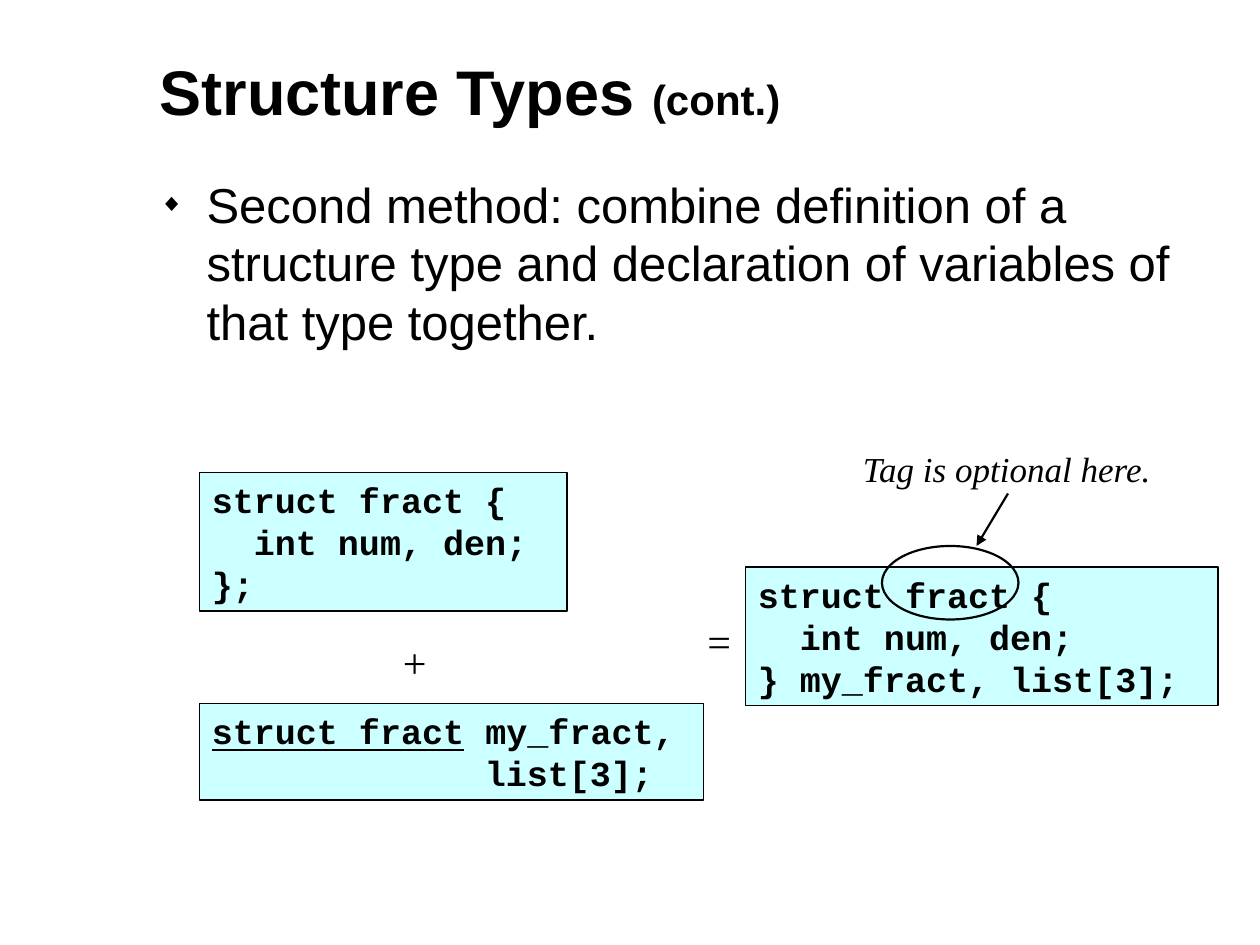
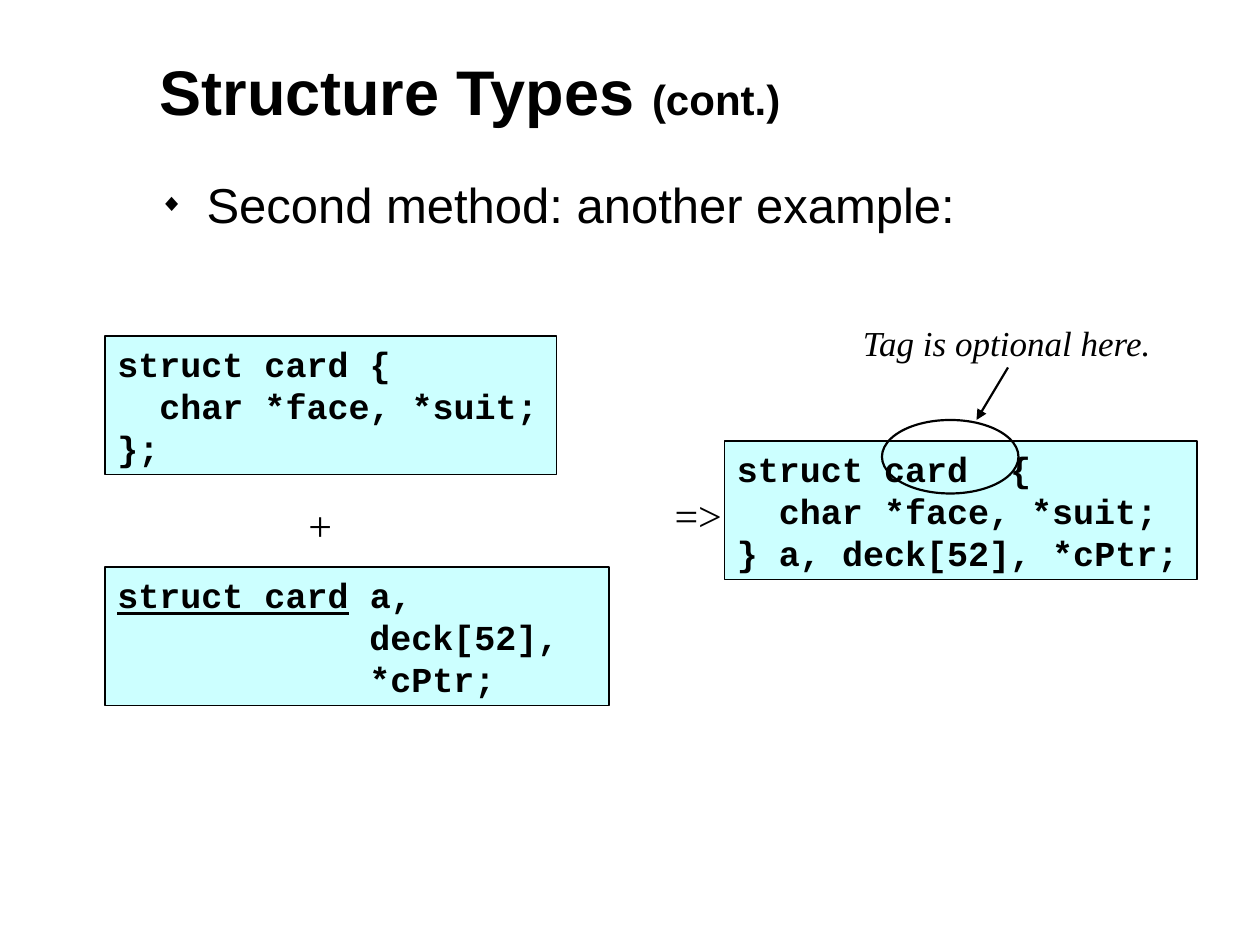
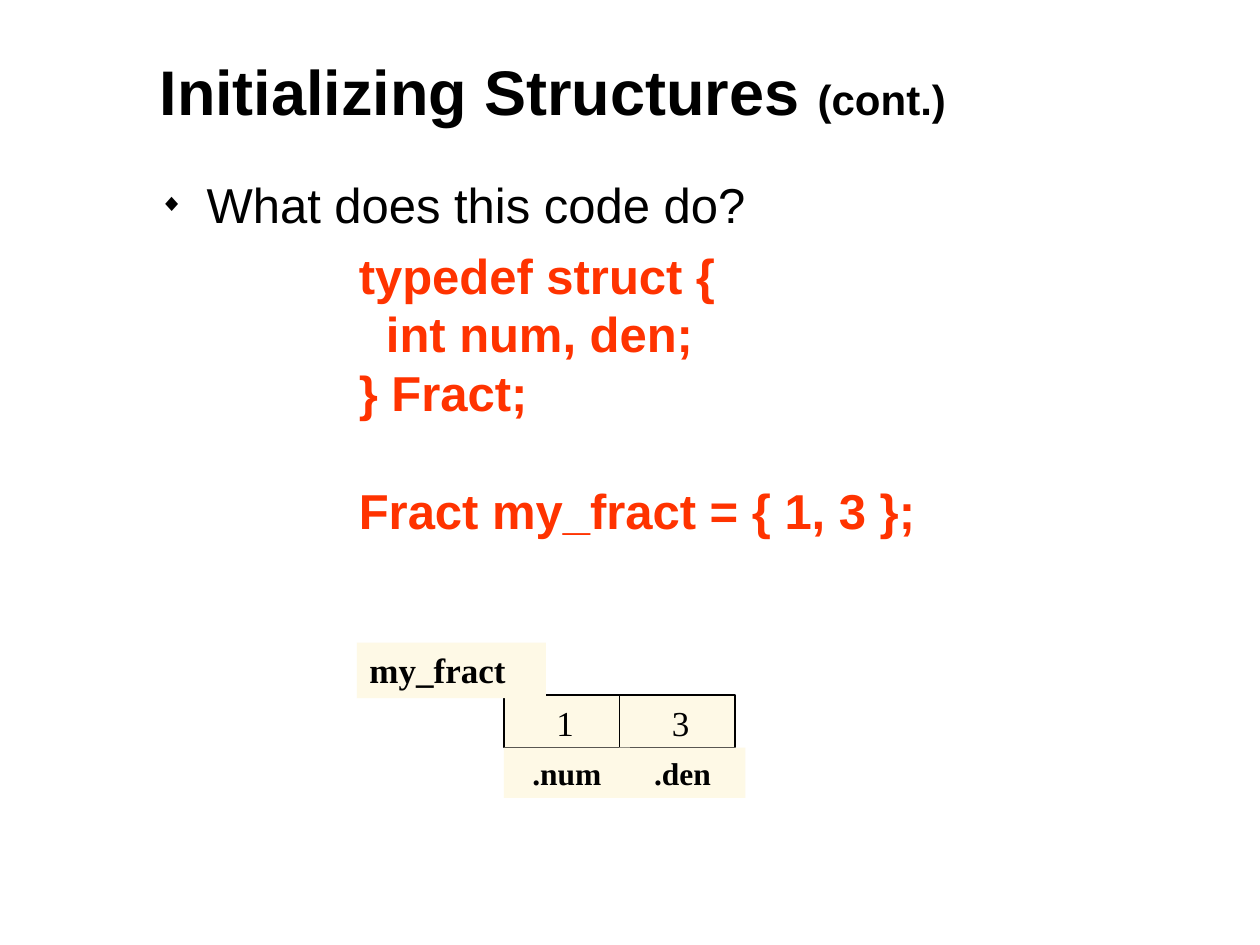
from dataclasses import dataclass

from lxml.etree import SubElement
from pptx import Presentation
from pptx.dml.color import RGBColor
from pptx.enum.shapes import MSO_CONNECTOR, MSO_SHAPE
from pptx.enum.text import MSO_ANCHOR, MSO_AUTO_SIZE, PP_ALIGN
from pptx.oxml.ns import qn
from pptx.util import Inches, Pt


@dataclass(frozen=True)
class Theme:
    ink: str = "000000"
    code_fill: str = "CCFFFF"
    cell_fill: str = "FEF9E6"
    accent: str = "FF3300"
    sans: str = "Arial"
    mono: str = "Courier New"
    serif: str = "Times New Roman"
    title_size: int = 36
    suffix_size: int = 24
    body_size: int = 28
    operator_size: int = 24
    code_size: int = 20
    note_size: int = 20
    field_size: int = 18
    thin: float = 0.75
    thick: float = 1.25
    leading: float = 1.2


THEME = Theme()
COLUMNS_PER_INCH = 12  # the slide is a grid of 120 columns by 90 rows
CODE_CHARACTER_WIDTH = 0.6 * THEME.code_size
TITLE_BOX = (14, 4.4, 98, 8.4)
BODY_BOX = (14, 16, 101, 66)


def grid(*cells):
    return [Inches(cell / COLUMNS_PER_INCH) for cell in cells]


def add_run(paragraph, text, size, font, color=THEME.ink, **style):
    run = paragraph.add_run()
    run.text = text
    run.font.size = Pt(size)
    run.font.name = font
    run.font.color.rgb = RGBColor.from_string(color)
    for name, value in style.items():
        setattr(run.font, name, value)


def prepare_frame(shape, anchor=MSO_ANCHOR.TOP):
    frame = shape.text_frame
    frame.word_wrap = True
    frame.auto_size = MSO_AUTO_SIZE.NONE
    frame.vertical_anchor = anchor
    return frame


def start_paragraph(frame, size, first=True, align=PP_ALIGN.LEFT, indent=0):
    """Open a paragraph with the shared leading; indent is in points."""
    paragraph = frame.paragraphs[0] if first else frame.add_paragraph()
    paragraph.alignment = align
    paragraph.line_spacing = Pt(THEME.leading * size)
    if indent:
        paragraph._p.get_or_add_pPr().set("marL", str(Pt(indent)))
    return paragraph


def add_label(slide, box, text, size, align=PP_ALIGN.LEFT, **style):
    label = slide.shapes.add_textbox(*grid(*box))
    paragraph = start_paragraph(prepare_frame(label), size, align=align)
    add_run(paragraph, text, size, THEME.serif, **style)
    return label


def add_outline(slide, kind, box, fill=None, width=THEME.thin):
    shape = slide.shapes.add_shape(kind, *grid(*box))
    shape.shadow.inherit = False
    if fill:
        shape.fill.solid()
        shape.fill.fore_color.rgb = RGBColor.from_string(fill)
    else:
        shape.fill.background()
    shape.line.color.rgb = RGBColor.from_string(THEME.ink)
    shape.line.width = Pt(width)
    return shape


def add_titled_slide(presentation, title):
    slide = presentation.slides.add_slide(presentation.slide_layouts[5])
    shape = slide.shapes.title
    shape.left, shape.top, shape.width, shape.height = grid(*TITLE_BOX)
    paragraph = start_paragraph(prepare_frame(shape, MSO_ANCHOR.MIDDLE), THEME.title_size)
    add_run(paragraph, title + " ", THEME.title_size, THEME.sans, bold=True)
    add_run(paragraph, "(cont.)", THEME.suffix_size, THEME.sans, bold=True)
    return slide


def add_body(slide, text):
    """Add the bulleted statement and return its frame for further lines."""
    frame = prepare_frame(slide.shapes.add_textbox(*grid(*BODY_BOX)))
    paragraph = start_paragraph(frame, THEME.body_size, indent=27)
    properties = paragraph._p.get_or_add_pPr()
    properties.set("indent", str(-Pt(27)))
    color = SubElement(properties, qn("a:buClr"))
    SubElement(color, qn("a:srgbClr"), val=THEME.ink)
    SubElement(properties, qn("a:buSzPct"), val="50000")
    SubElement(properties, qn("a:buFont"), typeface=THEME.sans)
    SubElement(properties, qn("a:buChar"), char="◆")
    add_run(paragraph, text, THEME.body_size, THEME.sans)
    return frame


def add_code_box(slide, left, top, width, lines):
    """Each line is (indent in characters, underlined text, plain text)."""
    height = 0.6 * 2 + 4 * len(lines)
    shape = add_outline(slide, MSO_SHAPE.RECTANGLE, (left, top, width, height), THEME.code_fill)
    frame = prepare_frame(shape)
    for index, (indent, underlined, plain) in enumerate(lines):
        paragraph = start_paragraph(frame, THEME.code_size, index == 0,
                                    indent=indent * CODE_CHARACTER_WIDTH)
        for text, underline in ((underlined, True), (plain, False)):
            if text:
                add_run(paragraph, text, THEME.code_size, THEME.mono,
                        bold=True, underline=underline)


def add_operator(slide, box, text):
    add_label(slide, box, text, THEME.operator_size, PP_ALIGN.CENTER)


def add_separate_parts(slide, left, top, width, tag, members, variables):
    """Stack the type definition, a plus sign and the variable declaration."""
    head = f"struct {tag}"
    first, *others = variables
    declaration = [(0, head, " " + first)]
    declaration += [(len(head) + 1, "", name) for name in others]
    add_code_box(slide, left, top + 22, 48, declaration)
    add_code_box(slide, left, top, width,
                 [(0, "", head + " {"), (2, "", members), (0, "", "};")])
    add_operator(slide, (left + 16, top + 15, 9, 6), "+")


def add_combined_form(slide, left, top, sign, opening, members, variables):
    add_code_box(slide, left, top, 45, [(0, "", opening), (2, "", members),
                                        (0, "", "} " + " ".join(variables))])
    add_operator(slide, (left - 6, top + 4, 7, 6), sign)


def add_tag_callout(slide, left, top):
    add_outline(slide, MSO_SHAPE.OVAL, (left + 3, top + 10, 13, 7), width=THEME.thick)
    arrow = slide.shapes.add_connector(
        MSO_CONNECTOR.STRAIGHT, *grid(left + 15, top + 5, left + 12, top + 10))
    arrow.line.color.rgb = RGBColor.from_string(THEME.ink)
    arrow.line.width = Pt(THEME.thick)
    SubElement(arrow.line._get_or_add_ln(), qn("a:tailEnd"), type="triangle")
    SubElement(arrow._element.spPr, qn("a:effectLst"))
    add_label(slide, (left, top, 32, 5.3), "Tag is optional here.", THEME.note_size, italic=True)


def build_method_slide(presentation, statement, top, left, width, combined_left,
                       sign, tag, opening, members, variables):
    slide = add_titled_slide(presentation, "Structure Types")
    add_body(slide, statement)
    add_separate_parts(slide, left, top, width, tag, members, variables)
    # The combined form and its callout hang from the callout's top row.
    callout_top = 42 if top == 45 else 30
    add_combined_form(slide, combined_left, callout_top + 12, sign, opening, members, variables)
    add_tag_callout(slide, 81, callout_top)


def add_field_diagram(slide, left, top, variable, fields):
    """Draw adjoining cells with the variable's name above and fields below."""
    cell_width, cell_height = 11, 5
    cells = [left + index * cell_width for index in range(len(fields))]
    for cell in cells:
        add_outline(slide, MSO_SHAPE.RECTANGLE, (cell, top, cell_width, cell_height),
                    THEME.cell_fill)
    labels = [add_label(slide, (left - 14, top - 5, 18, 5.3), variable,
                        THEME.note_size, bold=True)]
    for cell, (name, _) in zip(cells, fields):
        labels.append(add_label(slide, (cell, top + cell_height, 12, 4.8), name,
                                THEME.field_size, PP_ALIGN.CENTER, bold=True))
    for label in labels:
        label.fill.solid()
        label.fill.fore_color.rgb = RGBColor.from_string(THEME.cell_fill)
    for cell, (_, value) in zip(cells, fields):
        add_label(slide, (cell + 3.8, top, 4.2, 5.3), value, THEME.note_size)


def build_initializing_slide(presentation):
    slide = add_titled_slide(presentation, "Initializing Structures")
    frame = add_body(slide, "What does this code do?")
    code_indent, member_indent = 114, 129.5
    line_height = THEME.leading * THEME.body_size
    for text, indent, space in (
        ("typedef struct {", code_indent, 7),
        ("int num, den;", member_indent, 0),
        ("} Fract;", code_indent, 0),
        ("Fract my_fract = { 1, 3 };", code_indent, line_height),
    ):
        paragraph = start_paragraph(frame, THEME.body_size, False, indent=indent)
        paragraph.space_before = Pt(space)
        add_run(paragraph, text, THEME.body_size, THEME.sans, THEME.accent, bold=True)
    add_field_diagram(slide, 48, 66.2, "my_fract", [(".num", "1"), (".den", "3")])


def main():
    presentation = Presentation()
    presentation.slide_width, presentation.slide_height = grid(120, 90)
    build_method_slide(
        presentation,
        "Second method: combine definition of a structure type and declaration "
        "of variables of that type together.",
        top=45, left=19, width=35, combined_left=71, sign="=", tag="fract",
        opening="struct fract {", members="int num, den;",
        variables=["my_fract,", "list[3];"])
    build_method_slide(
        presentation, "Second method: another example:",
        top=32, left=10, width=43, combined_left=69, sign="=>", tag="card",
        opening="struct card  {", members="char *face, *suit;",
        variables=["a,", "deck[52],", "*cPtr;"])
    build_initializing_slide(presentation)
    presentation.save("out.pptx")


if __name__ == "__main__":
    main()
